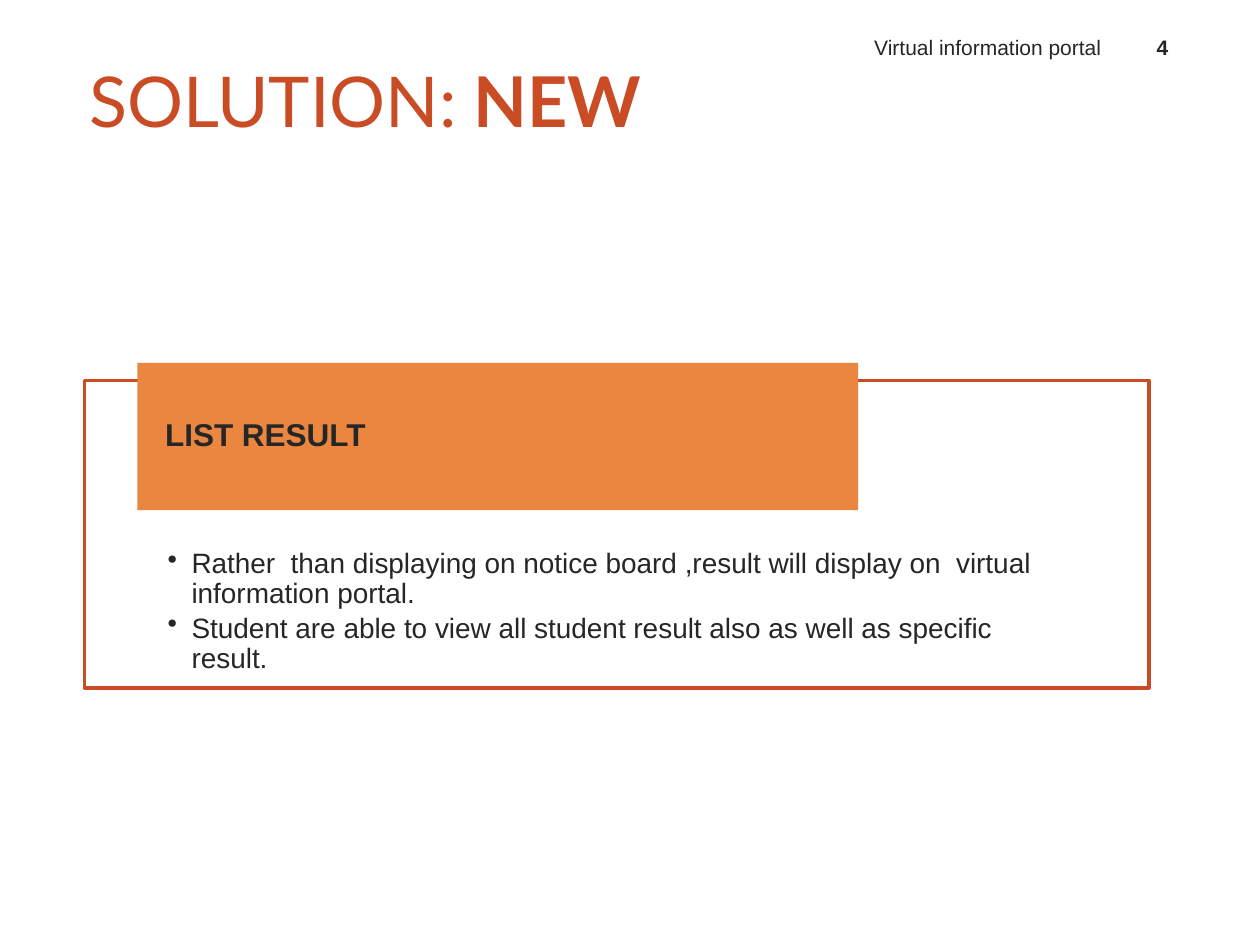
"""Build the "Solution: new" slide with a titled result panel."""
from lxml import etree
from pptx import Presentation
from pptx.dml.color import RGBColor
from pptx.enum.shapes import MSO_SHAPE
from pptx.enum.text import MSO_ANCHOR, MSO_AUTO_SIZE, PP_ALIGN
from pptx.oxml.ns import qn
from pptx.util import Inches, Pt

RECTANGLE = MSO_SHAPE.RECTANGLE
TOP, MIDDLE, BOTTOM = MSO_ANCHOR.TOP, MSO_ANCHOR.MIDDLE, MSO_ANCHOR.BOTTOM
LEFT, CENTER, RIGHT = PP_ALIGN.LEFT, PP_ALIGN.CENTER, PP_ALIGN.RIGHT
NO_FIT = MSO_AUTO_SIZE.NONE

RUST = RGBColor(0xC9, 0x4C, 0x25)
ORANGE = RGBColor(0xEA, 0x86, 0x40)
INK = RGBColor(0x26, 0x26, 0x26)

TITLE_RUNS = [("SOLUTION:", False), (" NEW", True)]
HEADERS = [
    ("Virtual information portal", False, 6.42, 2.42, RIGHT),
    ("4", True, 8.95, 0.55, CENTER),
]
PANEL_HEADING = "LIST RESULT"
PANEL_POINTS = [
    "Rather  than displaying on notice board ,result will display on  virtual information portal.",
    "Student are able to view all student result also as well as specific result.",
]
BULLET_INDENT = 0.19


def set_frame(shape, anchor, insets):
    frame = shape.text_frame
    frame.word_wrap = True
    frame.auto_size = NO_FIT
    frame.vertical_anchor = anchor
    (frame.margin_left, frame.margin_top,
     frame.margin_right, frame.margin_bottom) = map(Inches, insets)
    return frame


def add_span(para, text, size, color=INK, bold=False, font="Arial"):
    span = para.add_run()
    span.text = text
    span.font.name = font
    span.font.size = Pt(size)
    span.font.bold = bold
    span.font.color.rgb = color


def set_indent(para, left, first):
    properties = para._p.get_or_add_pPr()
    properties.set("marL", str(Inches(left)))
    properties.set("indent", str(Inches(first)))
    return properties


def add_rectangle(page, bounds):
    shape = page.shapes.add_shape(RECTANGLE, *map(Inches, bounds))
    shape.shadow.inherit = False
    return shape


def add_title(page):
    title = page.shapes.title
    title.left, title.top, title.width, title.height = map(Inches, (0.51, 0.42, 5.07, 0.74))
    para = set_frame(title, MIDDLE, (0, 0.05, 0, 0.05)).paragraphs[0]
    para.alignment = LEFT
    set_indent(para, 0.2, 0)
    for text, bold in TITLE_RUNS:
        add_span(para, text, 40, RUST, bold, "Lato")


def add_headers(page):
    for text, bold, left, width, alignment in HEADERS:
        box = page.shapes.add_textbox(*map(Inches, (left, 0.19, width, 0.33)))
        para = set_frame(box, BOTTOM, (0.1, 0.05, 0.1, 0.05)).paragraphs[0]
        para.alignment = alignment
        add_span(para, text, 12, bold=bold)


def add_panel(page):
    panel = add_rectangle(page, (0.67, 3.02, 8.45, 2.44))
    panel.fill.background()
    panel.line.color.rgb = RUST
    panel.line.width = Pt(2)
    frame = set_frame(panel, TOP, (0.66, 1.34, 0.66, 0.12))
    for index, text in enumerate(PANEL_POINTS):
        para = frame.add_paragraph() if index else frame.paragraphs[0]
        para.alignment = LEFT
        para.line_spacing = 0.9
        para.space_after = Pt(2.4)
        properties = set_indent(para, BULLET_INDENT, -BULLET_INDENT)
        etree.SubElement(properties, qn("a:buChar")).set("char", "•")
        add_span(para, text, 16)


def add_panel_heading(page):
    heading = add_rectangle(page, (1.09, 2.88, 5.72, 1.17))
    heading.fill.solid()
    heading.fill.fore_color.rgb = ORANGE
    heading.line.fill.background()
    para = set_frame(heading, MIDDLE, (0.22, 0, 0.22, 0)).paragraphs[0]
    para.alignment = LEFT
    para.line_spacing = 0.9
    add_span(para, PANEL_HEADING, 18, bold=True)


def main():
    deck = Presentation()
    deck.slide_width, deck.slide_height = Inches(10), Inches(7.5)
    page = deck.slides.add_slide(deck.slide_layouts[5])
    add_title(page)
    add_headers(page)
    add_panel(page)
    add_panel_heading(page)
    deck.save("out.pptx")


if __name__ == "__main__":
    main()
